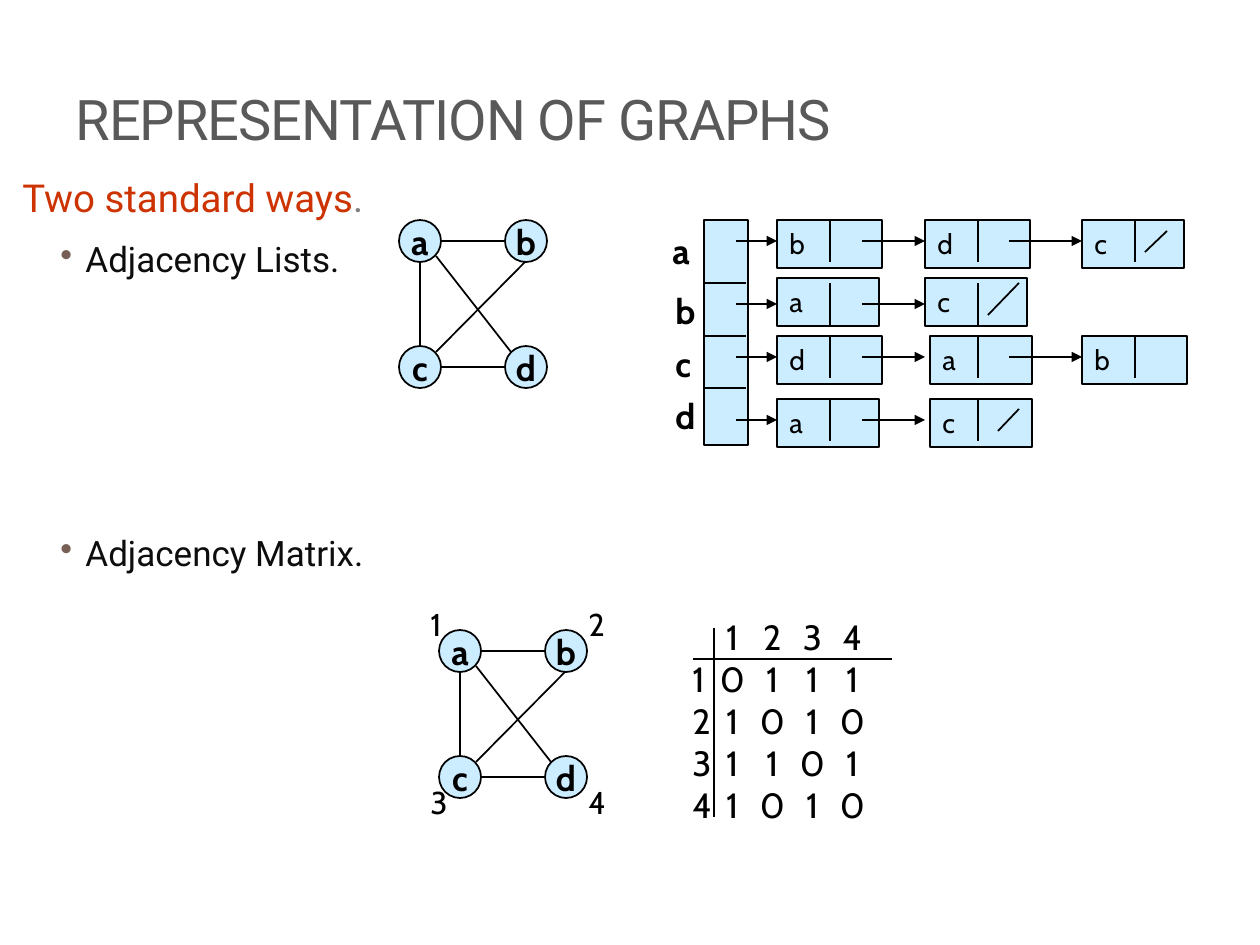
"""Build a slide on adjacency lists and adjacency matrices of graphs."""
from dataclasses import dataclass
from typing import Optional

from lxml import etree
from pptx import Presentation
from pptx import util as u
from pptx.dml.color import RGBColor
from pptx.enum import shapes, text
from pptx.oxml.ns import qn

SCALE = 914400 / 126
BLACK = RGBColor(0x00, 0x00, 0x00)
PALE_BLUE = RGBColor(0xCC, 0xEC, 0xFF)
TITLE_GREY = RGBColor(0x59, 0x59, 0x59)
RED = RGBColor(0xCC, 0x33, 0x00)
DOT_GREY = RGBColor(0x80, 0x80, 0x80)
INK = RGBColor(0x0D, 0x0D, 0x0D)
BULLET = "775F55"
SANS, LABEL = "Roboto", "Cabin"

DIVIDERS = (830, 978, 1135)
POINTERS = ((736, 777), (862, 925), (1009, 1082))
EDGES = ((42, 21, 106, 21), (126, 42, 37, 132), (21, 42, 21, 126),
         (37, 36, 112, 132), (42, 147, 106, 147))
NODES = (("a", 0, 0), ("d", 106, 126), ("c", 0, 126), ("b", 106, 0))
MATRIX = ("\t1\t2\t3\t4", "1\t0\t1\t1\t1", "2\t1\t0\t1\t0",
          "3\t1\t1\t0\t1", "4\t1\t0\t1\t0")


@dataclass
class Cell:
    """One linked-list cell."""
    name: str
    x: int
    w: int


@dataclass
class ListRow:
    """One vertex with its linked list."""
    name: str
    label_x: int
    label_y: int
    top: int
    divider_y: int
    pointer_y: int
    cells: tuple[Cell, ...]
    slash: Optional[tuple[int, int, int, int]] = None


ROWS = (
    ListRow("a", 660, 223, 220, 220, 241,
            (Cell("b", 777, 105), Cell("d", 925, 105), Cell("c", 1082, 102)),
            (1167, 231, 1145, 252)),
    ListRow("b", 663, 283, 278, 283, 304,
            (Cell("a", 777, 102), Cell("c", 925, 102)),
            (1019, 283, 988, 315)),
    ListRow("c", 663, 336, 336, 336, 357,
            (Cell("d", 777, 105), Cell("a", 930, 102), Cell("b", 1082, 105))),
    ListRow("d", 663, 388, 399, 399, 420,
            (Cell("a", 777, 102), Cell("c", 930, 102)),
            (1019, 409, 998, 431)),
)


def px(n: int) -> u.Emu:
    """Turn pixels into EMU."""
    return u.Emu(round(n * SCALE))


def add_run(p, content: str, size: int, color: RGBColor,
            font: str = LABEL, bold: bool = False):
    """Append a formatted run to a paragraph."""
    r = p.add_run()
    r.text = content
    r.font.size, r.font.name, r.font.bold = u.Pt(size), font, bold
    r.font.color.rgb = color
    return r


def add_box(s, x: int, y: int, w: int, h: int):
    """Add a wrapping text box and return its text frame."""
    tf = s.shapes.add_textbox(px(x), px(y), px(w), px(h)).text_frame
    tf.word_wrap = True
    return tf


def add_label(s, name: str, x: int, y: int, size: int, bold: bool = False) -> None:
    """Add a short free-standing label."""
    tf = add_box(s, x, y, 45, 52)
    tf.margin_right = 0
    add_run(tf.paragraphs[0], name, size, BLACK, bold=bold)


def add_filled(s, kind, x: int, y: int, w: int, h: int):
    """Add a pale blue outlined shape."""
    sp = s.shapes.add_shape(kind, px(x), px(y), px(w), px(h))
    sp.shadow.inherit = False
    sp.fill.solid()
    sp.fill.fore_color.rgb = PALE_BLUE
    sp.line.color.rgb = BLACK
    sp.line.width = u.Pt(1)
    return sp


def add_line(s, x1: int, y1: int, x2: int, y2: int, arrow: bool = False) -> None:
    """Add a black line, with an arrowhead at its end if asked."""
    c = s.shapes.add_connector(shapes.MSO_CONNECTOR.STRAIGHT,
                               px(x1), px(y1), px(x2), px(y2))
    c.line.color.rgb = BLACK
    c.line.width = u.Pt(1)
    if arrow:
        etree.SubElement(c.line._get_or_add_ln(), qn("a:tailEnd"), type="triangle")
    etree.SubElement(c._element.spPr, qn("a:effectLst"))


def add_graph(s, x: int, y: int) -> None:
    """Draw the four-vertex graph from its top left corner."""
    for name, dx, dy in NODES:
        sp = add_filled(s, shapes.MSO_SHAPE.OVAL, x + dx, y + dy, 42, 42)
        tf = sp.text_frame
        tf.word_wrap = False
        tf.vertical_anchor = text.MSO_ANCHOR.MIDDLE
        p = tf.paragraphs[0]
        p.alignment = text.PP_ALIGN.CENTER
        add_run(p, name, 20, BLACK, bold=True)
    for x1, y1, x2, y2 in EDGES:
        add_line(s, x + x1, y + y1, x + x2, y + y2)


def add_list_row(s, row: ListRow) -> None:
    """Draw one vertex label and its linked list."""
    add_label(s, row.name, row.label_x, row.label_y, 20, bold=True)
    for cell, divider in zip(row.cells, DIVIDERS):
        sp = add_filled(s, shapes.MSO_SHAPE.RECTANGLE, cell.x, row.top, cell.w, 48)
        tf = sp.text_frame
        tf.vertical_anchor = text.MSO_ANCHOR.TOP
        p = tf.paragraphs[0]
        p.alignment = text.PP_ALIGN.LEFT
        add_run(p, cell.name, 16, BLACK)
        add_line(s, divider, row.divider_y, divider, row.divider_y + 42)
    for _, (start, end) in zip(row.cells, POINTERS):
        add_line(s, start, row.pointer_y, end, row.pointer_y, arrow=True)
    if row.slash:
        add_line(s, *row.slash)


def add_bullet(tf, content: str, before: int) -> None:
    """Add a bulleted paragraph."""
    p = tf.add_paragraph()
    pPr = p._p.get_or_add_pPr()
    pPr.set("marL", str(px(63)))
    pPr.set("indent", str(-px(25)))
    pPr.set("lvl", "1")
    clr = etree.SubElement(pPr, qn("a:buClr"))
    etree.SubElement(clr, qn("a:srgbClr"), val=BULLET)
    etree.SubElement(pPr, qn("a:buChar"), char="•")
    p.space_before = u.Pt(before)
    add_run(p, content, 20, INK, SANS)


def add_title(s) -> None:
    """Place and fill the title placeholder."""
    sp = s.shapes.title
    sp.left, sp.top, sp.width, sp.height = px(63), px(0), px(1029), px(158)
    tf = sp.text_frame
    tf.vertical_anchor = text.MSO_ANCHOR.BOTTOM
    p = tf.paragraphs[0]
    p.alignment = text.PP_ALIGN.LEFT
    r = add_run(p, "REPRESENTATION OF GRAPHS", 32, TITLE_GREY, SANS)
    r.font._element.set("spc", "-60")


def add_body(s) -> None:
    """Write the heading and the two bullets."""
    tf = add_box(s, 10, 168, 1029, 672)
    p = tf.paragraphs[0]
    p.space_after = u.Pt(6)
    add_run(p, "Two standard ways", 22, RED, SANS)
    add_run(p, ".", 22, DOT_GREY, SANS)
    add_bullet(tf, "Adjacency Lists.", 4)
    add_bullet(tf, "Adjacency Matrix.", 144)


def add_matrix(s) -> None:
    """Write the adjacency matrix on centred tab stops and rule it."""
    tf = add_box(s, 680, 609, 209, 223)
    for i, row in enumerate(MATRIX):
        p = tf.add_paragraph() if i else tf.paragraphs[0]
        tabs = etree.SubElement(p._p.get_or_add_pPr(), qn("a:tabLst"))
        for col in range(1, 5):
            etree.SubElement(tabs, qn("a:tab"), pos=str(px(40 * col)), algn="ctr")
        add_run(p, row, 20, BLACK)
    add_line(s, 693, 659, 892, 659)
    add_line(s, 714, 628, 714, 817)


def main() -> None:
    """Build and save the slide."""
    prs = Presentation()
    prs.slide_width, prs.slide_height = px(1260), px(945)
    s = prs.slides.add_slide(prs.slide_layouts[5])
    add_title(s)
    add_body(s)
    add_graph(s, 399, 220)
    add_filled(s, shapes.MSO_SHAPE.RECTANGLE, 704, 220, 44, 225)
    for y in (283, 336, 388):
        add_line(s, 704, y, 746, y)
    for row in ROWS:
        add_list_row(s, row)
    add_graph(s, 439, 630)
    for name, x, y in (("1", 418, 599), ("2", 576, 599), ("3", 418, 777), ("4", 576, 777)):
        add_label(s, name, x, y, 18)
    add_matrix(s)
    prs.save("out.pptx")


if __name__ == "__main__":
    main()
